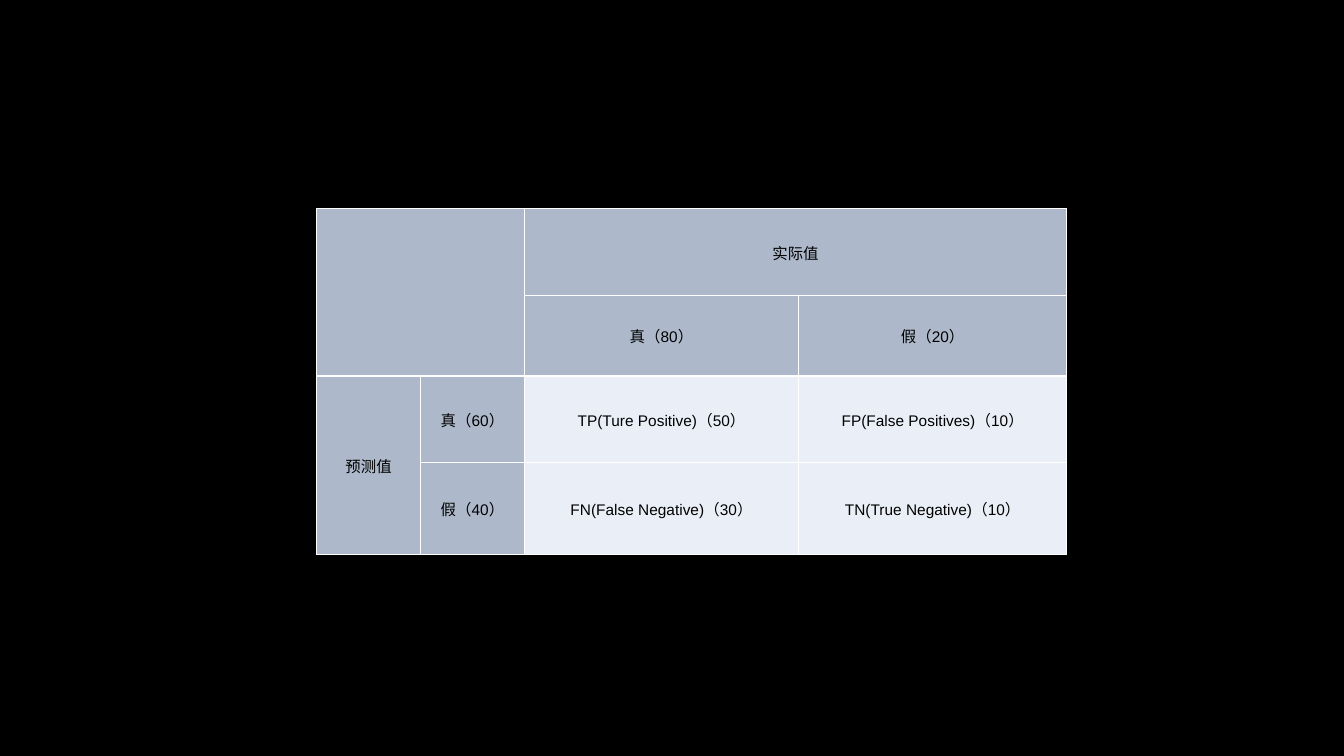
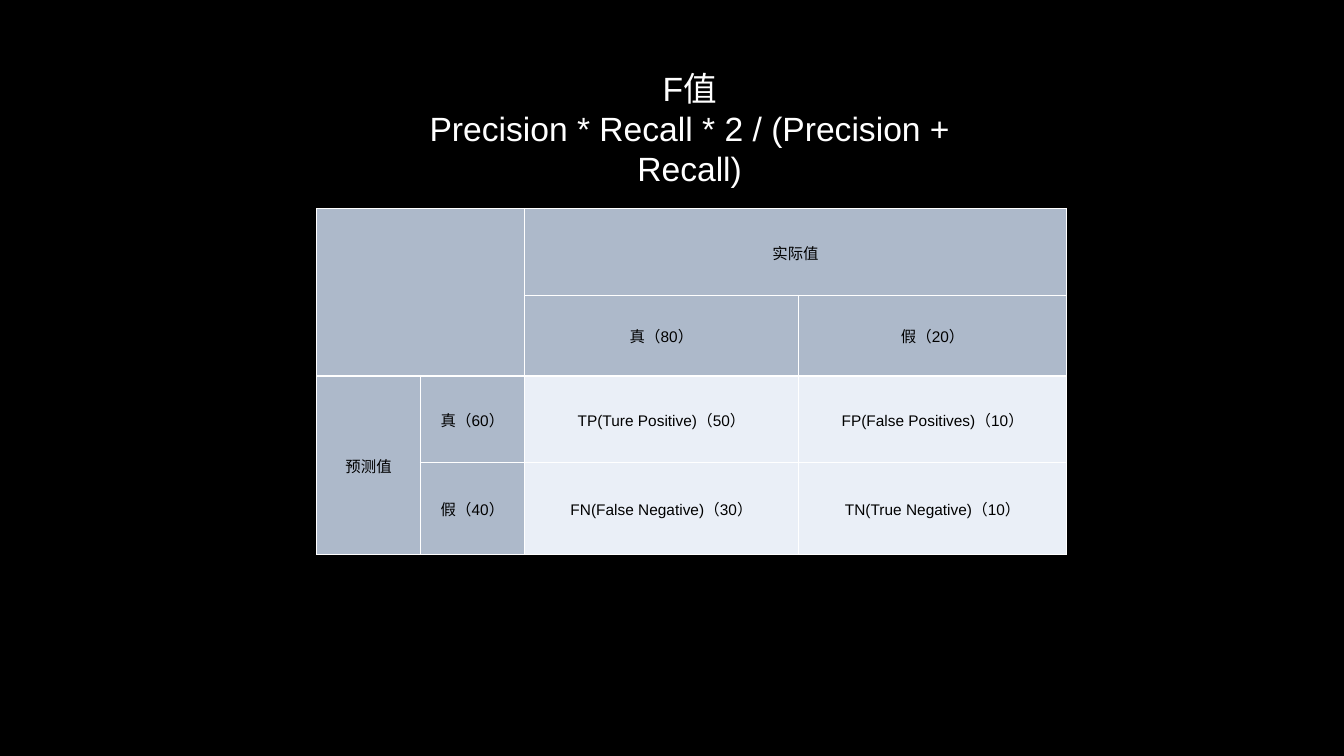
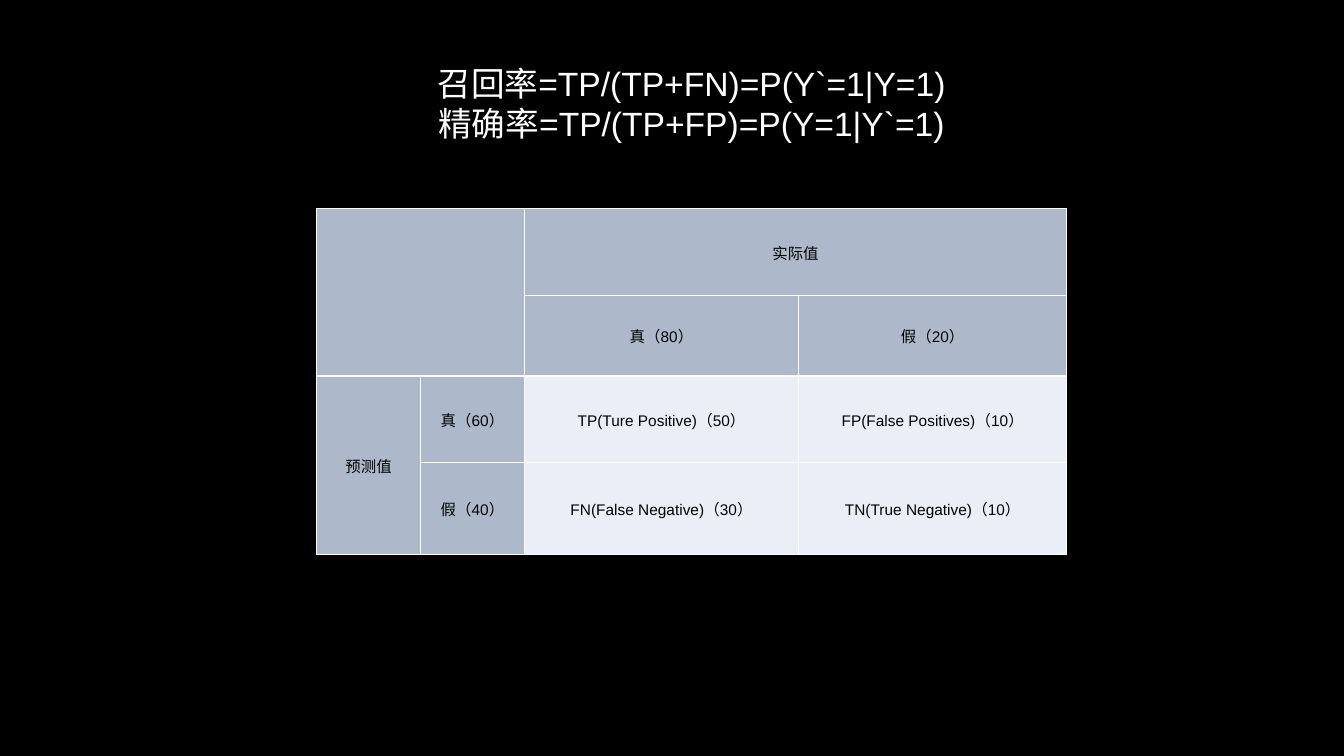
import pptx
import pptx.util
import pptx.dml.color
import pptx.enum.text
import lxml.etree

COLOR = {"back": "000000", "head": "ADB9CA", "body": "EAEFF7",
         "line": "FFFFFF", "title": "FFFFFF", "ink": "000000"}
FONT = "Arial"
COLS = [7.73, 7.73, 20.4, 19.95]
ROWS = [11.47, 10.67, 11.47, 12.13]
CELLS = [
    ["", "", "实际值", ""],
    ["", "", "真（80）", "假（20）"],
    ["预测值", "真（60）", "TP(Ture Positive)（50）", "FP(False Positives)（10）"],
    ["", "假（40）", "FN(False Negative)（30）", "TN(True Negative)（10）"],
]
SPANS = [(0, 0, 1, 1), (0, 2, 0, 3), (2, 0, 3, 0)]


def rgb(name):
    return pptx.dml.color.RGBColor.from_string(COLOR[name])


def write(frame, text, size=11, color="ink"):
    frame.text = text
    for para in frame.paragraphs:
        para.alignment = pptx.enum.text.PP_ALIGN.CENTER
        para.line_spacing = 1
        for run in para.runs:
            run.font.size = pptx.util.Pt(size)
            run.font.name = FONT
            run.font.color.rgb = rgb(color)


class Deck:
    def __init__(self):
        self.file = pptx.Presentation()
        self.file.slide_width = pptx.util.Inches(13.33)
        self.file.slide_height = pptx.util.Inches(7.5)
        self.slide = None

    def wide(self, share):
        return round(self.file.slide_width * share / 100)

    def high(self, share):
        return round(self.file.slide_height * share / 100)

    def start(self, titled):
        layout = self.file.slide_layouts.get_by_name("Title Only" if titled else "Blank")
        self.slide = self.file.slides.add_slide(layout)
        fill = self.slide.background.fill
        fill.solid()
        fill.fore_color.rgb = rgb("back")

    def title(self, text, left, top):
        box = self.slide.shapes.title
        box.left, box.top = self.wide(left), self.high(top)
        box.width, box.height = self.wide(48), self.high(22.93)
        frame = box.text_frame
        frame.word_wrap = True
        frame.auto_size = pptx.enum.text.MSO_AUTO_SIZE.NONE
        frame.vertical_anchor = pptx.enum.text.MSO_ANCHOR.TOP
        write(frame, text, size=24, color="title")

    def border(self, cell):
        props = cell._tc.get_or_add_tcPr()
        for side in ("lnL", "lnR", "lnT", "lnB"):
            line = lxml.etree.SubElement(props, pptx.oxml.ns.qn("a:" + side), w="12700")
            fill = lxml.etree.SubElement(line, pptx.oxml.ns.qn("a:solidFill"))
            lxml.etree.SubElement(fill, pptx.oxml.ns.qn("a:srgbClr"), val=COLOR["line"])

    def cell(self, cell, text, color):
        self.border(cell)
        cell.fill.solid()
        cell.fill.fore_color.rgb = rgb(color)
        cell.vertical_anchor = pptx.enum.text.MSO_ANCHOR.MIDDLE
        cell.margin_left = cell.margin_right = cell.margin_top = pptx.util.Inches(0.01)
        cell.margin_bottom = 0
        write(cell.text_frame, text)

    def matrix(self):
        table = self.slide.shapes.add_table(
            len(ROWS), len(COLS), self.wide(23.56), self.high(27.6),
            self.wide(sum(COLS)), self.high(sum(ROWS))).table
        table.first_row = table.horz_banding = False
        for col, share in zip(table.columns, COLS):
            col.width = self.wide(share)
        for row, share in zip(table.rows, ROWS):
            row.height = self.high(share)
        for y, line in enumerate(CELLS):
            for x, text in enumerate(line):
                self.cell(table.cell(y, x), text, "body" if min(x, y) > 1 else "head")
        for top, left, low, right in SPANS:
            table.cell(top, left).merge(table.cell(low, right))


deck = Deck()
deck.start(False)
deck.matrix()

deck.start(True)
deck.title("F值\nPrecision * Recall * 2 / (Precision + Recall)", 27.31, 8.27)
deck.matrix()

deck.start(True)
deck.title("召回率=TP/(TP+FN)=P(Y`=1|Y=1)\n精确率=TP/(TP+FP)=P(Y=1|Y`=1)", 27.46, 7.6)
deck.matrix()

deck.file.save("out.pptx")
